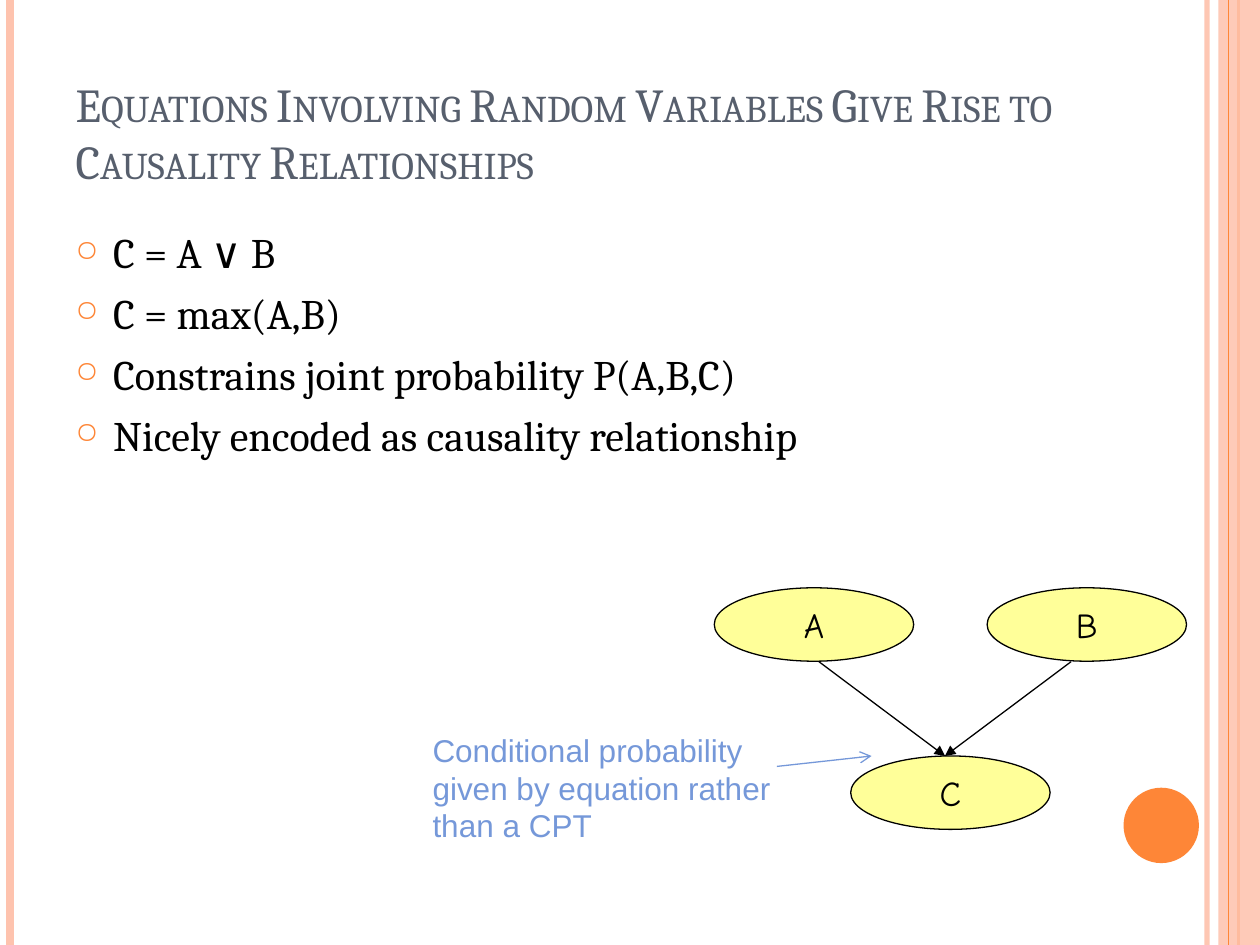
import pptx
import pptx.dml.color
import pptx.enum.shapes
import pptx.enum.text
import pptx.oxml
import pptx.oxml.ns
import pptx.util

Cm, Pt = pptx.util.Cm, pptx.util.Pt
SHAPE = pptx.enum.shapes.MSO_SHAPE
ALIGN = pptx.enum.text.PP_ALIGN
ANCHOR = pptx.enum.text.MSO_ANCHOR
COLORS = {
    "peach": "FEC3AE", "orange": "FE8637", "slate": "575F6D",
    "black": "000000", "yellow": "FFFF99", "blue": "7598D9",
}
WIDTH, HEIGHT = 25.4, 19.05


def color(name):
    return pptx.dml.color.RGBColor.from_string(COLORS[name])


def add_xml(parent, tag, **values):
    child = pptx.oxml.parse_xml(f"<a:{tag} {pptx.oxml.ns.nsdecls('a')}/>")
    for key, value in values.items():
        child.set(key, str(value))
    parent.append(child)
    return child


class Painter:
    """Holds the text styles and the current page."""

    styles = {
        "title": {"name": "Cambria", "size": Pt(27), "color": "slate"},
        "body": {"name": "Cambria", "size": Pt(24), "color": "black"},
        "node": {"name": "Comic Neue", "size": Pt(20), "color": "black"},
        "note": {"name": "Arial", "size": Pt(18), "color": "blue"},
    }

    def __init__(self, page):
        self.page = page

    def add_span(self, para, text, style):
        span = para.add_run()
        span.text = text
        for key, value in self.styles[style].items():
            if key == "color":
                span.font.color.rgb = color(value)
            else:
                setattr(span.font, key, value)
        return span

    def frame(self, box, **values):
        settings = {"word_wrap": True, "vertical_anchor": ANCHOR.TOP,
                    "auto_size": pptx.enum.text.MSO_AUTO_SIZE.NONE, **values}
        for key, value in settings.items():
            setattr(box.text_frame, key, value)
        return box.text_frame

    def title(self, text, left, top, width, height):
        box = self.page.shapes.title
        place = {"left": left, "top": top, "width": width, "height": height}
        for key, value in place.items():
            setattr(box, key, Cm(value))
        para = self.frame(box, vertical_anchor=ANCHOR.BOTTOM).paragraphs[0]
        para.alignment = ALIGN.LEFT
        span = self.add_span(para, text, "title")
        span.font._element.set("cap", "small")

    def text(self, lines, style, place, bullets=False):
        box = self.page.shapes.add_textbox(*map(Cm, place))
        frame = self.frame(box)
        for index, line in enumerate(lines):
            para = frame.add_paragraph() if index else frame.paragraphs[0]
            if index:
                para.space_before = Pt(6)
            if bullets:
                self.bullet(para)
            self.add_span(para, line, style)

    def bullet(self, para):
        props = para._p.get_or_add_pPr()
        props.set("marL", str(Cm(0.76)))
        props.set("indent", str(-Cm(0.76)))
        add_xml(add_xml(props, "buClr"), "srgbClr", val=COLORS["orange"])
        add_xml(props, "buSzPct", val=70000)
        add_xml(props, "buChar", char="○")

    def shape(self, kind, place, fill, outline=None, opacity=None):
        shape = self.page.shapes.add_shape(kind, *map(Cm, place))
        shape.shadow.inherit = False
        shape.fill.solid()
        shape.fill.fore_color.rgb = color(fill)
        if opacity:
            tint = shape._element.spPr.find(".//" + pptx.oxml.ns.qn("a:srgbClr"))
            add_xml(tint, "alpha", val=opacity * 1000)
        if outline:
            shape.line.color.rgb = color(outline)
            shape.line.width = Pt(0.75)
        else:
            shape.line.fill.background()
        return shape

    def node(self, label, left, top):
        shape = self.shape(SHAPE.OVAL, (left, top, 4.02, 1.48), "yellow", "black")
        frame = self.frame(shape, word_wrap=False, vertical_anchor=ANCHOR.MIDDLE)
        para = frame.paragraphs[0]
        para.alignment = ALIGN.CENTER
        self.add_span(para, label, "node")

    def line(self, start, end, tint, width=0.75, head=None, opacity=None):
        line = self.page.shapes.add_connector(
            pptx.enum.shapes.MSO_CONNECTOR.STRAIGHT, *map(Cm, (*start, *end)))
        line.line.color.rgb = color(tint)
        line.line.width = Pt(width)
        stroke = line._element.spPr.find(pptx.oxml.ns.qn("a:ln"))
        if opacity:
            value = stroke.find(".//" + pptx.oxml.ns.qn("a:srgbClr"))
            add_xml(value, "alpha", val=opacity * 1000)
        if head:
            add_xml(stroke, "tailEnd", type=head)
        add_xml(line._element.spPr, "effectLst")

    def stripe(self, x, tint, width, opacity=None):
        self.line((x, 0), (x, HEIGHT), tint, width, opacity=opacity)


def main():
    deck = pptx.Presentation()
    deck.slide_width, deck.slide_height = Cm(WIDTH), Cm(HEIGHT)
    painter = Painter(deck.slides.add_slide(deck.slide_layouts[5]))

    # Side stripes and corner disc
    painter.stripe(24.33, "peach", 3, opacity=93)
    painter.stripe(0.21, "peach", 4.5)
    painter.stripe(24.97, "orange", 1.5)
    painter.shape(SHAPE.RECTANGLE, (24.56, 0, 0.84, HEIGHT), "peach", opacity=87)
    painter.stripe(24.77, "orange", 0.75)
    painter.shape(SHAPE.OVAL, (22.65, 15.88, 1.52, 1.52), "orange")

    # Title and bullets
    painter.title("Equations Involving Random Variables Give Rise to "
                  "Causality Relationships", 1.27, 0.76, 20.75, 3.18)
    painter.text(["C = A ∨ B", "C = max(A,B)",
                  "Constrains joint probability P(A,B,C)",
                  "Nicely encoded as causality relationship"],
                 "body", (1.27, 4.45, 20.75, 13.54), bullets=True)

    # Causal graph
    for label, left, top in (("C", 17.15, 15.24), ("A", 14.4, 11.85),
                             ("B", 19.9, 11.85)):
        painter.node(label, left, top)
    for x in (16.51, 21.59):
        painter.line((x, 13.34), (19.05, 15.24), "black", head="triangle")

    # Note on the node C
    painter.text(["Conditional probability given by equation rather than a CPT"],
                 "note", (8.47, 14.61, 7.83, 2.54))
    painter.line((15.66, 15.45), (17.57, 15.24), "blue", head="arrow")

    deck.save("out.pptx")


if __name__ == "__main__":
    main()
